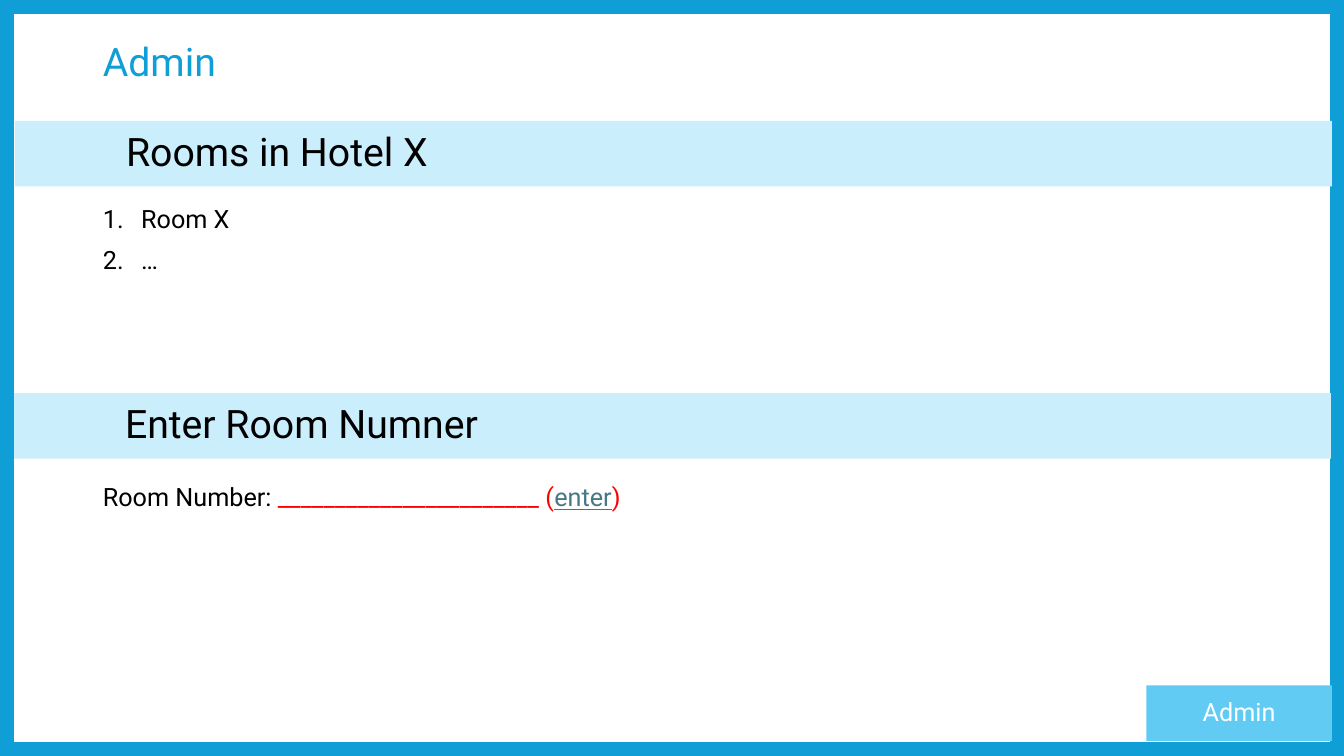
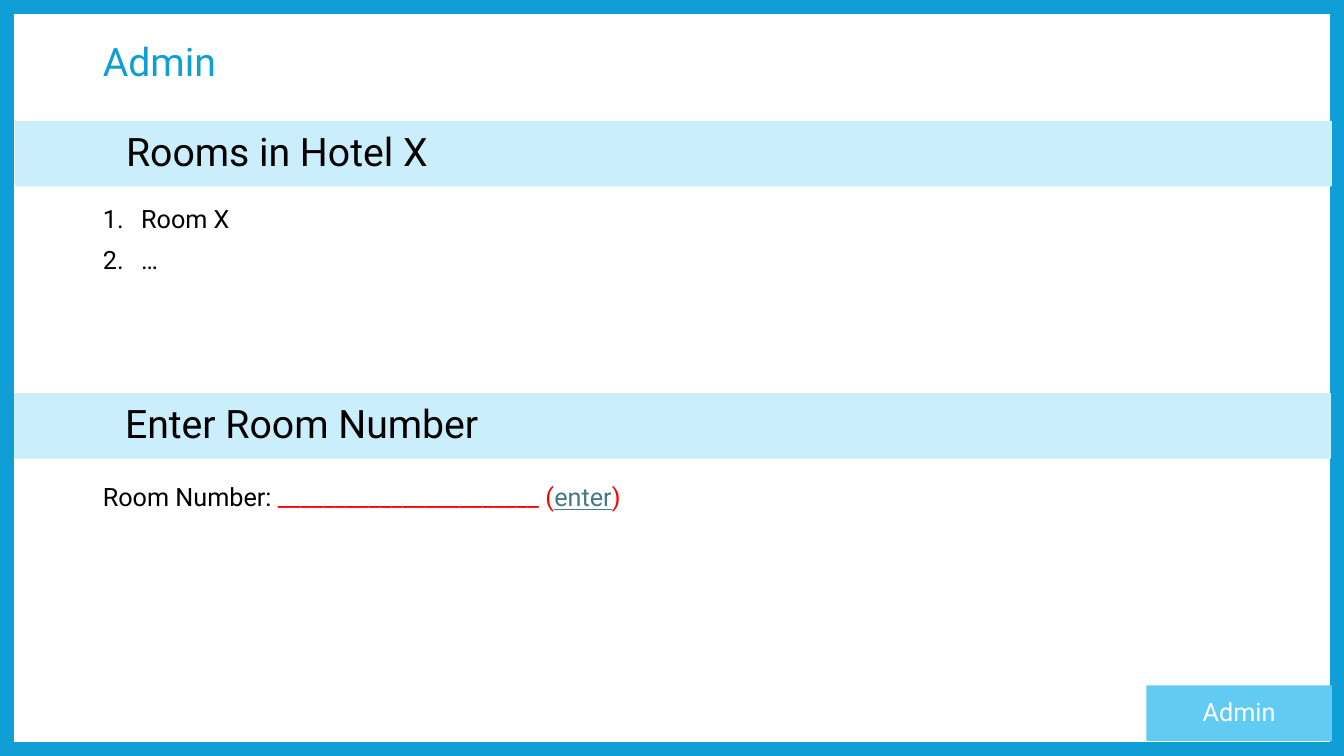
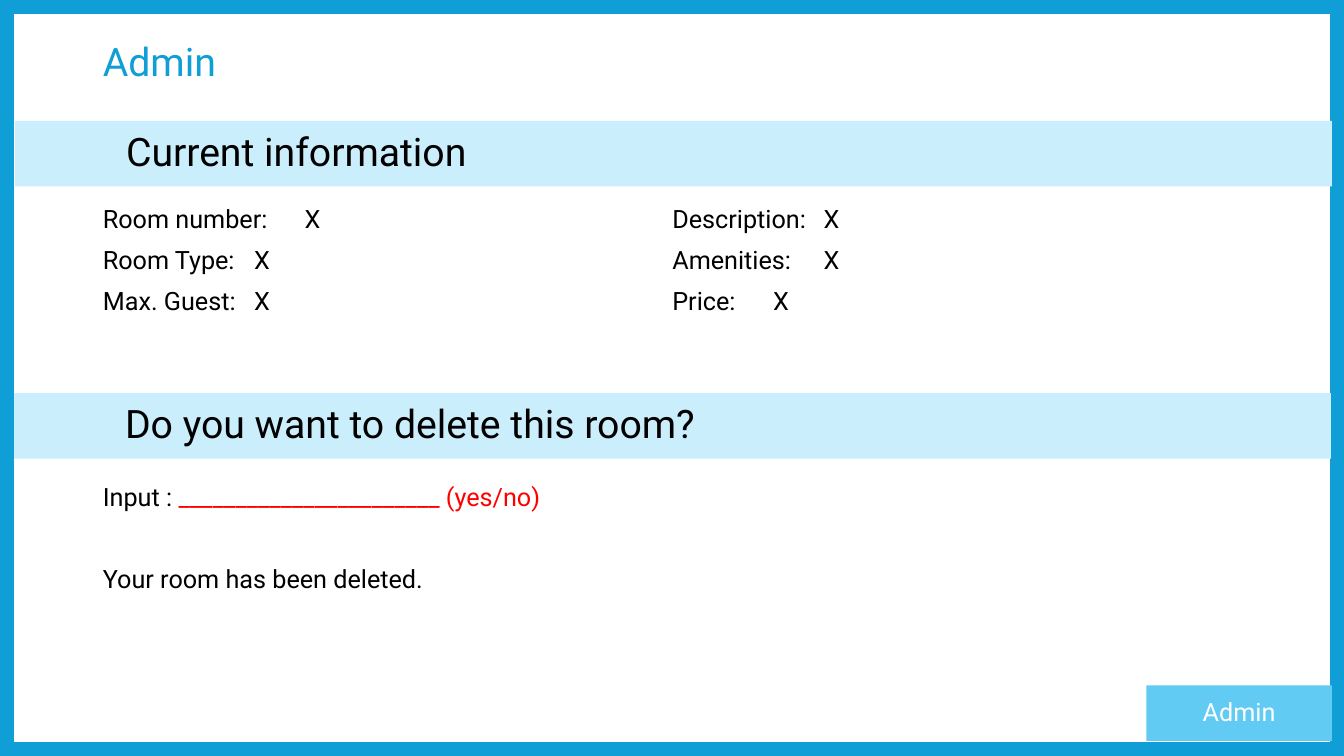
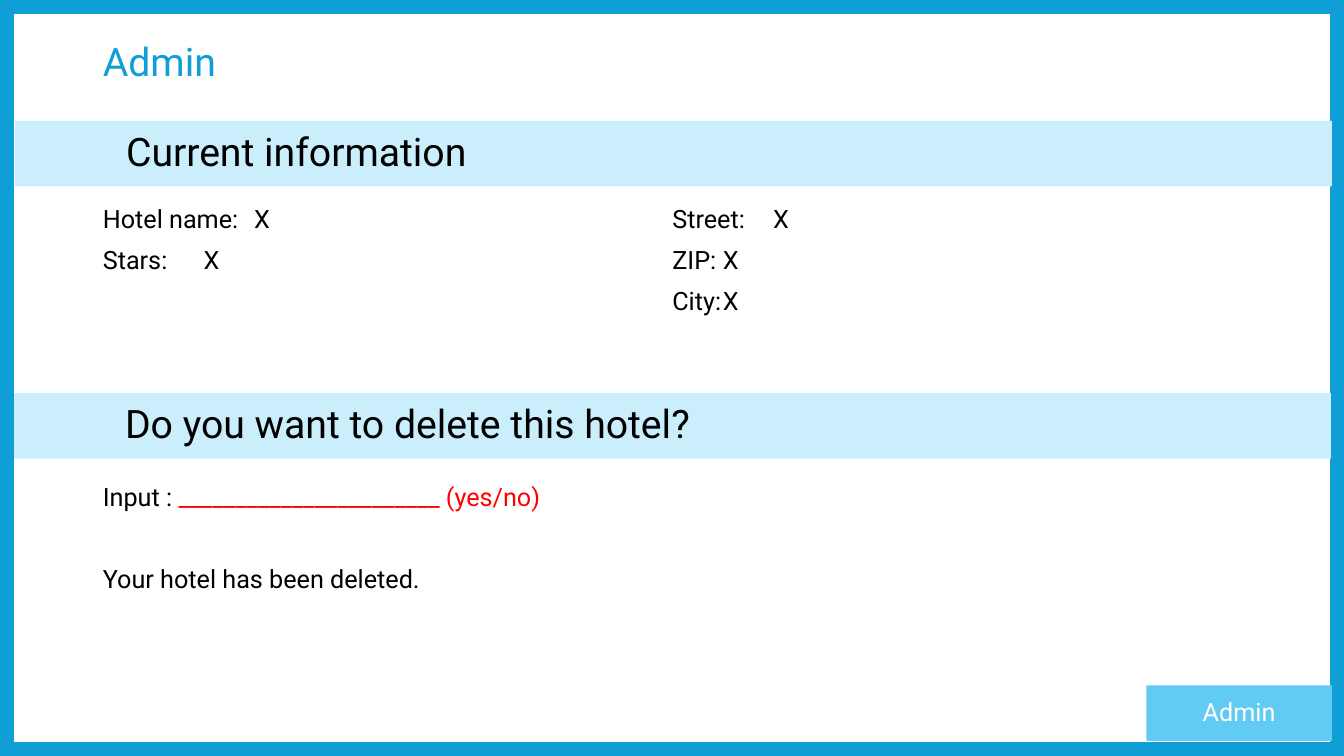
from lxml.etree import SubElement
from pptx import Presentation
from pptx.dml.color import RGBColor
from pptx.enum.shapes import MSO_SHAPE
from pptx.enum.text import MSO_ANCHOR, MSO_AUTO_SIZE, PP_ALIGN
from pptx.oxml.ns import qn
from pptx.util import Inches, Pt

COLORS = {
    "frame": "0F9ED5",
    "badge": "61CBF4",
    "band": "CAEEFB",
    "text": "000000",
    "white": "FFFFFF",
    "input": "FF0000",
    "link": "467886",
}
FONT = "Roboto"
LEFT, WIDTH = 0.92, 11.5
HALF = WIDTH / 2
RIGHT = LEFT + HALF - 0.1
BLANK = "_" * 23

ROOMS = [["Room X", "…"]]
ENTER = [[("Room Number: ", "text"), (BLANK + " (", "input"),
          ("enter", "link"), (")", "input")]]
ASK = [("Input : ", "text"), (BLANK + " (yes/no)", "input")]

PAGES = [
    ("Rooms in Hotel X", ROOMS, [], "Enter Room Numner", ENTER),
    ("Rooms in Hotel X", ROOMS, [], "Enter Room Number", ENTER),
    ("Current information",
     [["Room number:\tX", "Room Type:\tX", "Max. Guest:\tX"],
      ["Description:\tX", "Amenities:\tX", "Price:\tX"]],
     [2, 2],
     "Do you want to delete this room?",
     [ASK, [("Your room has been deleted.", "text")]]),
    ("Current information",
     [["Hotel name:\tX", "Stars:\tX"],
      ["Street:\tX", "ZIP:\tX", "City:\tX"]],
     [2, 1],
     "Do you want to delete this hotel?",
     [ASK, [("Your hotel has been deleted.", "text")]]),
]


def place(shape, left, top, width, height, anchor=MSO_ANCHOR.TOP):
    shape.left, shape.top = Inches(left), Inches(top)
    shape.width, shape.height = Inches(width), Inches(height)
    frame = shape.text_frame
    frame.word_wrap = True
    frame.auto_size = MSO_AUTO_SIZE.NONE
    frame.vertical_anchor = anchor
    return frame


def style(par, size=18, color="text", before=10, bullet="a:buNone", tab=None):
    par.font.name = FONT
    par.font.size = Pt(size)
    par.font.bold = False
    par.font.color.rgb = RGBColor.from_string(COLORS[color])
    par.alignment = PP_ALIGN.LEFT
    par.line_spacing = 0.9
    par.space_before = Pt(before)
    props = par._p.get_or_add_pPr()
    numbered = bullet == "a:buAutoNum"
    indent = Inches(0.38) if numbered else 0
    props.set("marL", str(indent))
    props.set("indent", str(-indent))
    mark = SubElement(props, qn(bullet))
    if numbered:
        mark.set("type", "arabicPeriod")
    if tab:
        stops = SubElement(props, qn("a:tabLst"))
        SubElement(stops, qn("a:tab"), pos=str(Inches(tab)), algn="l")
    for node in props.findall(qn("a:defRPr")):
        props.append(node)


deck = Presentation()
deck.slide_width, deck.slide_height = Inches(13.33), Inches(7.5)
layout = deck.slide_layouts.get_by_name("Comparison")
slides = [deck.slides.add_slide(layout) for page in PAGES]

shapes = slides[0].shapes
border = shapes.add_shape(MSO_SHAPE.RECTANGLE, 0, 0, deck.slide_width, deck.slide_height)
border.fill.background()
border.line.color.rgb = RGBColor.from_string(COLORS["frame"])
border.line.width = Pt(20)

badge = shapes.add_shape(MSO_SHAPE.RECTANGLE, Inches(11.37), Inches(6.8),
                         Inches(1.84), Inches(0.55))
badge.fill.solid()
badge.fill.fore_color.rgb = RGBColor.from_string(COLORS["badge"])
badge.line.fill.background()
badge.text_frame.text = "Admin"
par = badge.text_frame.paragraphs[0]
style(par, color="white", before=0)
par.alignment = PP_ALIGN.CENTER

for num, shape in enumerate([border, badge], 20):
    shape.shadow.inherit = False
    shape.element.nvSpPr.cNvPr.set("id", str(num))
    layout.shapes.element.append(shape.element)

for slide, (head, lists, tabs, prompt, lines) in zip(slides, PAGES):
    holders = slide.placeholders
    frame = place(slide.shapes.title, LEFT, 0.31, WIDTH, 0.65, MSO_ANCHOR.MIDDLE)
    frame.text = "Admin"
    style(frame.paragraphs[0], 28, "frame", 0)

    for key, left, top, text in [(1, 0.15, 1.2, head), (3, 0.14, 3.9, prompt)]:
        band = holders[key]
        frame = place(band, left, top, 13.06, 0.65, MSO_ANCHOR.MIDDLE)
        frame.margin_left = Inches(1.1)
        band.fill.solid()
        band.fill.fore_color.rgb = RGBColor.from_string(COLORS["band"])
        frame.text = text
        style(frame.paragraphs[0], 28)

    for col, rows in enumerate(lists):
        box = slide.shapes.add_textbox(0, 0, 0, 0) if col else holders[2]
        frame = place(box, RIGHT if col else LEFT, 2, HALF, 1.7)
        frame.text = "\n".join(rows)
        for par in frame.paragraphs:
            if tabs:
                style(par, tab=tabs[col])
            else:
                style(par, bullet="a:buAutoNum")

    frame = place(holders[4], LEFT, 4.76, HALF, 1.9)
    for row, parts in enumerate(lines):
        par = frame.add_paragraph() if row else frame.paragraphs[0]
        for text, color in parts:
            run = par.add_run()
            run.text = text
            run.font.color.rgb = RGBColor.from_string(COLORS[color])
            run.font.underline = True if color == "link" else None
        style(par, before=39 if row else 10)

deck.save("out.pptx")
